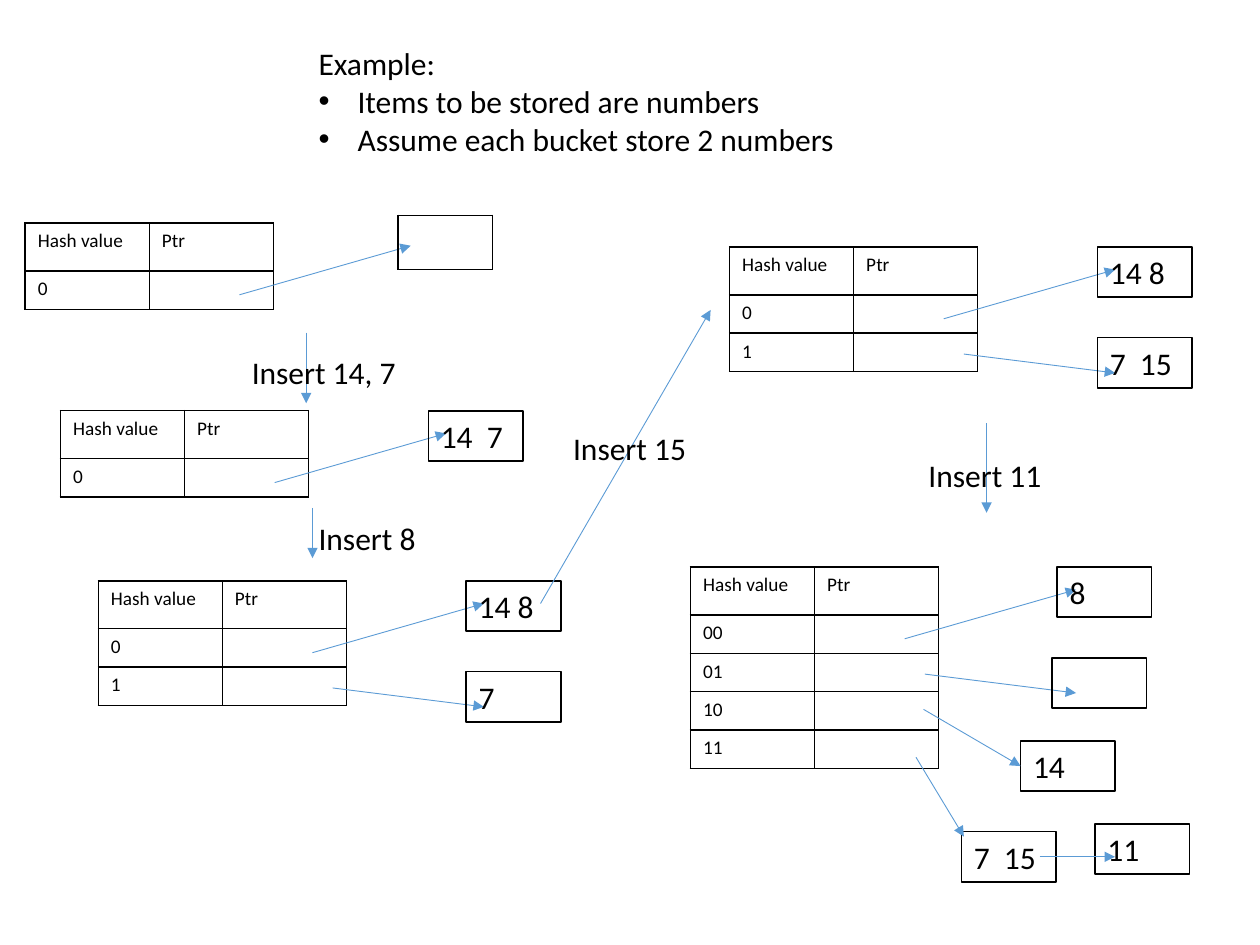
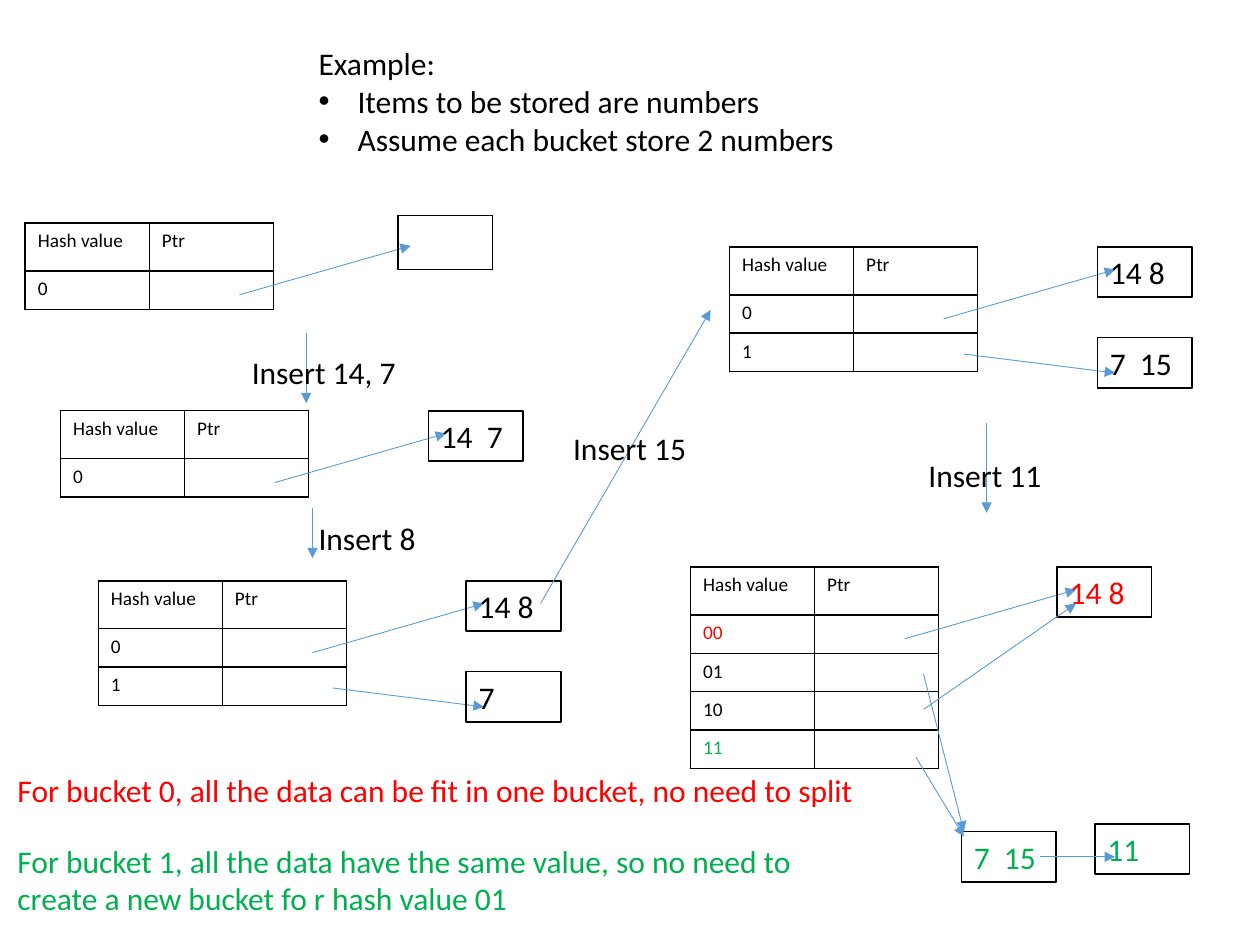
from lxml import etree
from pptx import Presentation
from pptx.dml.color import RGBColor
from pptx.enum import shapes, text
from pptx.oxml import ns
from pptx.util import Inches, Pt

COLORS = {"ink": "000000", "arrow": "5B9BD5", "red": "FF0000", "green": "00B050"}
FONT = "Calibri"
BUCKET_W, BUCKET_H = 0.75, 0.4
POINTERS = [((1.7, 0.57), (3.06, 0.18)), ((1.86, 0.85), (3.06, 1.0))]
BUCKET_X, BUCKET_STEP = 2.92, 0.72


def rgb(name):
    """Return the named colour."""
    return RGBColor.from_string(COLORS[name])


def add_xml(parent, tag, **attrs):
    """Append an a: element with attributes and return it."""
    return etree.SubElement(parent, ns.qn(f"a:{tag}"), attrs)


def write(tf, content, size=18, color="ink", bullets=False):
    """Write the lines of content, bulleting all but the first on request."""
    for i, line in enumerate(content.split("\n")):
        p = tf.paragraphs[0] if i == 0 else tf.add_paragraph()
        p.alignment = text.PP_ALIGN.LEFT
        if bullets and i:
            pPr = p._p.get_or_add_pPr()
            pPr.set("marL", str(Inches(0.31)))
            pPr.set("indent", str(-Inches(0.31)))
            add_xml(pPr, "buFont", typeface="Arial")
            add_xml(pPr, "buChar", char="•")
        if not line:
            add_xml(p._p, "endParaRPr", sz=str(size * 100))
            continue
        r = p.add_run()
        r.text = line
        r.font.name, r.font.size, r.font.bold = FONT, Pt(size), False
        r.font.color.rgb = rgb(color)


def label(s, x, y, w, h, content, wrap=False, **fmt):
    """Add a text box."""
    tf = s.shapes.add_textbox(Inches(x), Inches(y), Inches(w), Inches(h)).text_frame
    tf.word_wrap = wrap
    write(tf, content, **fmt)


def bucket(s, x, y, content="", color="ink"):
    """Add an outlined bucket holding its numbers."""
    sp = s.shapes.add_shape(shapes.MSO_SHAPE.RECTANGLE, Inches(x), Inches(y),
                            Inches(BUCKET_W), Inches(BUCKET_H))
    sp.shadow.inherit = False
    sp.fill.background()
    sp.line.color.rgb = rgb("ink")
    sp.line.width = Pt(1)
    tf = sp.text_frame
    tf.vertical_anchor = text.MSO_ANCHOR.TOP
    write(tf, content, color=color)
    return sp


def arrow(s, start, end):
    """Add a thin arrow between two points."""
    c = s.shapes.add_connector(shapes.MSO_CONNECTOR.STRAIGHT,
                               *map(Inches, start), *map(Inches, end))
    c.line.color.rgb = rgb("arrow")
    c.line.width = Pt(0.5)
    add_xml(c.line._get_or_add_ln(), "tailEnd", type="triangle")
    add_xml(c._element.spPr, "effectLst")
    return c


def border(cell):
    """Give a cell a black line on all four sides."""
    tcPr = cell._tc.get_or_add_tcPr()
    for side in "LRTB":
        ln = add_xml(tcPr, f"ln{side}", w=str(Pt(1)))
        add_xml(add_xml(ln, "solidFill"), "srgbClr", val=COLORS["ink"])


def grid(s, x, y, col_w, heights, rows, key_colors=None):
    """Add a plain ruled table with optional colours by cell text."""
    n = len(rows[0])
    tbl = s.shapes.add_table(len(rows), n, Inches(x), Inches(y), Inches(col_w * n),
                             Inches(sum(heights))).table
    tbl.first_row = tbl.horz_banding = False
    for col in tbl.columns:
        col.width = Inches(col_w)
    for i, row in enumerate(rows):
        tbl.rows[i].height = Inches(heights[i])
        for j, content in enumerate(row):
            cell = tbl.cell(i, j)
            border(cell)
            cell.fill.background()
            write(cell.text_frame, content, size=11,
                  color=(key_colors or {}).get(content, "ink"))


def directory(s, x, y, keys, pointers, key_colors=None):
    """Add a hash directory with its leading pointers."""
    rows = [("Hash value", "Ptr")] + [(key, "") for key in keys]
    grid(s, x, y, 0.985, [0.38] + [0.305] * len(keys), rows, key_colors)
    for (x1, y1), (x2, y2) in POINTERS[:pointers]:
        arrow(s, (x + x1, y + y1), (x + x2, y + y2))


def stage(s, x, y, keys, buckets):
    """Add a directory whose every key points to one bucket."""
    directory(s, x, y, keys, len(buckets))
    for i, content in enumerate(buckets):
        bucket(s, x + BUCKET_X, y + i * BUCKET_STEP, content)


def insertions(prs):
    """Add a slide with the stages up to inserting 11."""
    s = prs.slides.add_slide(prs.slide_layouts[6])
    label(s, 2.43, 0.3, 4.34, 1.01, "Example:\nItems to be stored are numbers\n"
          "Assume each bucket store 2 numbers", bullets=True)
    directory(s, 0.2, 1.77, ["0"], 1)
    grid(s, 3.16, 1.71, BUCKET_W, [0.43], [[""]])
    stage(s, 0.48, 3.26, ["0"], ["14  7"])
    stage(s, 0.78, 4.61, ["0", "1"], ["14 8", "7"])
    stage(s, 5.79, 1.96, ["0", "1"], ["14 8", "7  15"])
    for content, x, y, w, start, end in [
        ("Insert 14, 7", 1.9, 2.75, 1.36, (2.43, 2.64), (2.43, 3.2)),
        ("Insert 8", 2.43, 4.07, 0.98, (2.48, 4.03), (2.48, 4.43)),
        ("Insert 15", 4.45, 3.36, 1.11, (4.29, 4.79), (5.64, 2.46)),
        ("Insert 11", 7.27, 3.57, 1.11, (7.83, 3.36), (7.83, 4.07)),
    ]:
        arrow(s, start, end)
        label(s, x, y, w, 0.4, content)
    return s


def final_stage(s, first, pointers, first_color="ink", last_color="ink", key_colors=None):
    """Add the two-bit directory, its first bucket and the overflow chain."""
    directory(s, 5.48, 4.5, ["00", "01", "10", "11"], pointers, key_colors)
    bucket(s, 8.39, 4.5, first, first_color)
    bucket(s, 7.63, 6.6, "7  15", last_color)
    bucket(s, 8.69, 6.54, "11", last_color)
    arrow(s, (8.25, 6.8), (8.85, 6.8))
    arrow(s, (7.27, 6.01), (7.65, 6.64))


def split_slide(prs):
    """Build the slide where every key has its own bucket."""
    s = insertions(prs)
    final_stage(s, "8", 2)
    bucket(s, 8.35, 5.22)
    b = bucket(s, 8.1, 5.88, "14")
    arrow(s, (7.33, 5.63), (8.1, 6.08)).end_connect(b, 1)


def shared_slide(prs):
    """Build the slide where keys share buckets."""
    s = insertions(prs)
    final_stage(s, "14 8", 1, "red", "green", {"00": "red", "11": "green"})
    arrow(s, (7.33, 5.35), (7.65, 6.6))
    arrow(s, (7.33, 5.63), (8.54, 4.79))
    label(s, 0.04, 6.07, 6.92, 0.4, "For bucket 0, all the data can be fit in one bucket, "
          "no need to split", color="red")
    label(s, 0.04, 6.63, 6.64, 0.71, "For bucket 1, all the data have the same value, "
          "so no need to create a new bucket fo r hash value 01", wrap=True, color="green")


def main():
    """Build and save the presentation."""
    prs = Presentation()
    prs.slide_width, prs.slide_height = Inches(10), Inches(7.5)
    split_slide(prs)
    shared_slide(prs)
    prs.save("out.pptx")


if __name__ == "__main__":
    main()
